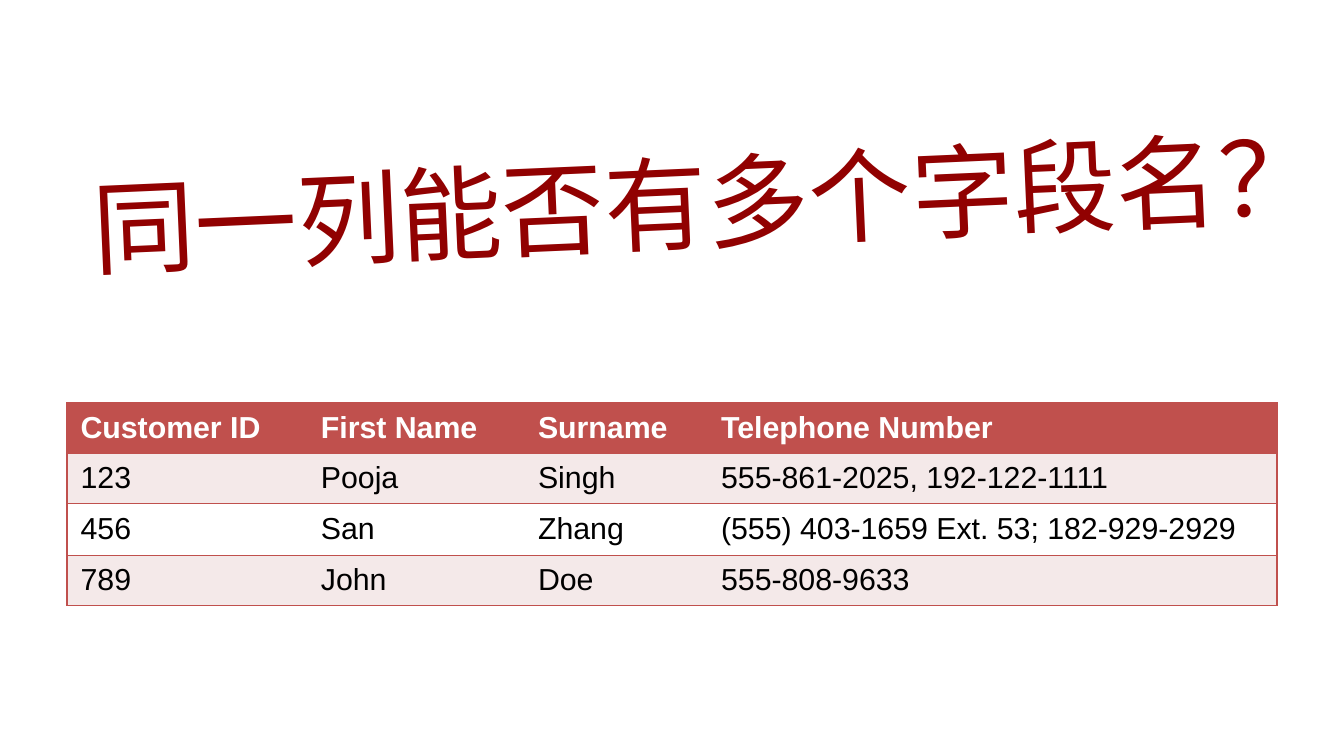
from dataclasses import dataclass

from lxml import etree
from pptx import Presentation
from pptx.dml.color import RGBColor
from pptx.enum.text import MSO_ANCHOR, MSO_AUTO_SIZE, PP_ALIGN
from pptx.oxml.ns import qn
from pptx.slide import Slide
from pptx.table import _Cell
from pptx.text.text import TextFrame
from pptx.util import Emu, Pt

MIDDLE = MSO_ANCHOR.MIDDLE
GROW = MSO_AUTO_SIZE.SHAPE_TO_FIT_TEXT
LEFT = PP_ALIGN.LEFT
CENTER = PP_ALIGN.CENTER

EMU_PER_PX = 9144
FONT = "Arial"
RED = "C0504D"
PINK = "F4E9E9"
WHITE = "FFFFFF"
BLACK = "000000"
DARK_RED = "910101"


@dataclass(frozen=True)
class Customer:
    customer_id: str
    first_name: str
    surname: str
    telephone: str

    def values(self) -> tuple[str, ...]:
        return self.customer_id, self.first_name, self.surname, self.telephone


@dataclass(frozen=True)
class RowStyle:
    fill: str
    color: str = BLACK
    bold: bool = False


HEADINGS = Customer("Customer ID", "First Name", "Surname", "Telephone Number")
CUSTOMERS = [
    Customer("123", "Pooja", "Singh", "555-861-2025, 192-122-1111"),
    Customer("456", "San", "Zhang", "(555) 403-1659 Ext. 53; 182-929-2929"),
    Customer("789", "John", "Doe", "555-808-9633"),
]
HEADER_STYLE = RowStyle(RED, WHITE, True)
BAND_STYLES = [RowStyle(PINK), RowStyle(WHITE)]
COLUMN_WIDTHS = [176, 159, 134, 417]
ROW_HEIGHTS = [35, 35, 38, 35]


def px(length: int) -> Emu:
    return Emu(length * EMU_PER_PX)


def rgb(color: str) -> RGBColor:
    return RGBColor.from_string(color)


def write_text(frame: TextFrame, text: str, *, size: int, color: str,
               bold: bool = False, align: PP_ALIGN = LEFT) -> None:
    paragraph = frame.paragraphs[0]
    paragraph.alignment = align
    run = paragraph.add_run()
    run.text = text
    run.font.name = FONT
    run.font.size = Pt(size)
    run.font.bold = bold
    run.font.color.rgb = rgb(color)


def set_borders(cell: _Cell, visible: str) -> None:
    properties = cell._tc.get_or_add_tcPr()
    for side in "LRTB":
        border = etree.SubElement(properties, qn(f"a:ln{side}"), w=str(Pt(1)))
        if side in visible:
            fill = etree.SubElement(border, qn("a:solidFill"))
            etree.SubElement(fill, qn("a:srgbClr"), val=RED)
        else:
            etree.SubElement(border, qn("a:noFill"))


def add_title(slide: Slide) -> None:
    title = slide.shapes.title
    title.left, title.top, title.width, title.height = map(px, (53, 96, 929, 101))
    title.rotation = 357.5
    frame = title.text_frame
    frame.word_wrap = False
    frame.auto_size = GROW
    write_text(frame, "同一列能否有多个字段名？", size=54, color=DARK_RED, align=CENTER)


def add_customer_table(slide: Slide) -> None:
    records = [HEADINGS, *CUSTOMERS]
    table = slide.shapes.add_table(
        len(records), len(COLUMN_WIDTHS), px(49), px(295),
        px(sum(COLUMN_WIDTHS)), px(sum(ROW_HEIGHTS))).table
    table.horz_banding = False
    for column, width in zip(table.columns, COLUMN_WIDTHS):
        column.width = px(width)
    last_column = len(COLUMN_WIDTHS) - 1
    for row_index, record in enumerate(records):
        table.rows[row_index].height = px(ROW_HEIGHTS[row_index])
        style = BAND_STYLES[(row_index - 1) % 2] if row_index else HEADER_STYLE
        for column_index, value in enumerate(record.values()):
            cell = table.cell(row_index, column_index)
            set_borders(cell, "TB" + {0: "L", last_column: "R"}.get(column_index, ""))
            cell.fill.solid()
            cell.fill.fore_color.rgb = rgb(style.fill)
            cell.vertical_anchor = MIDDLE
            write_text(cell.text_frame, value, size=16, color=style.color, bold=style.bold)


def main() -> None:
    presentation = Presentation()
    presentation.slide_width = px(984)
    presentation.slide_height = px(551)
    slide = presentation.slides.add_slide(presentation.slide_layouts[5])
    add_customer_table(slide)
    add_title(slide)
    presentation.save("out.pptx")


if __name__ == "__main__":
    main()
